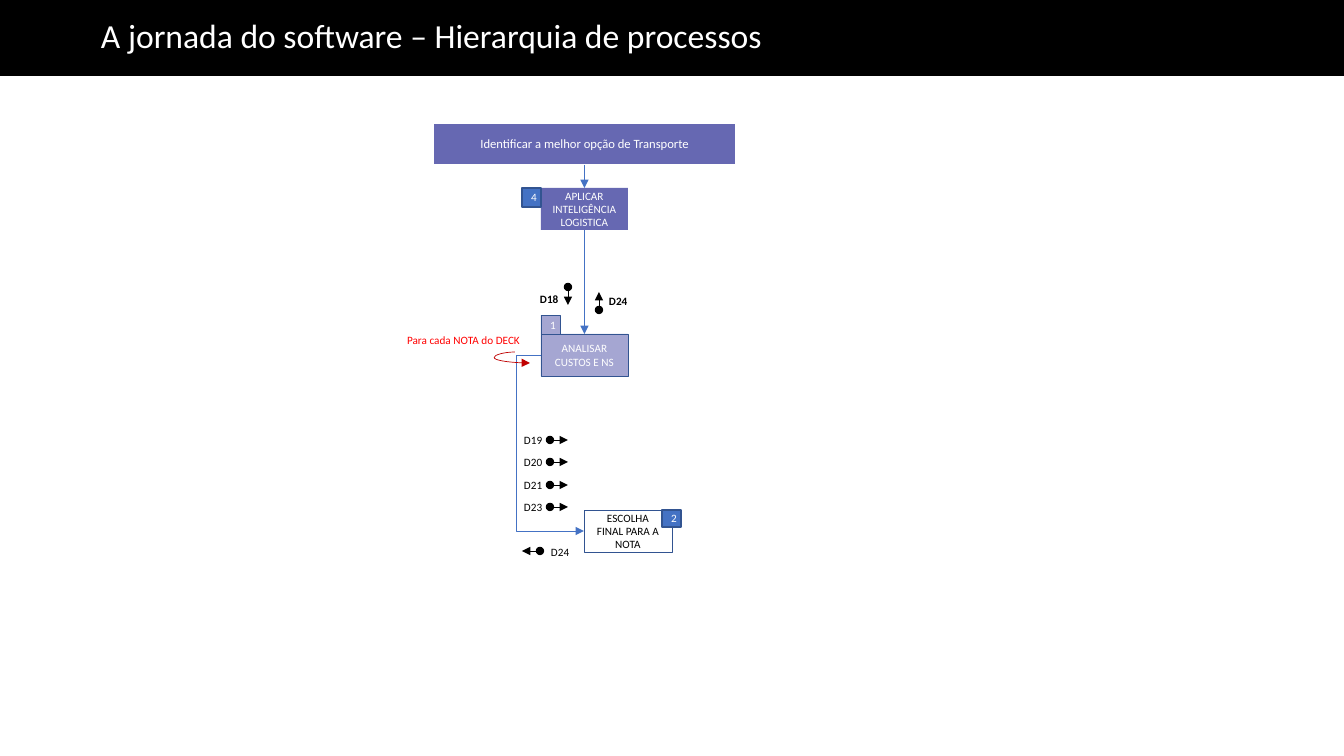
from pptx import Presentation
from pptx.dml.color import RGBColor
from pptx.enum.shapes import MSO_CONNECTOR as Link, MSO_SHAPE as Shape
from pptx.enum.text import MSO_ANCHOR as Anchor, PP_ALIGN as Align
from pptx.oxml.ns import qn
from pptx.util import Pt
from lxml.etree import SubElement

PX = 914400 / 100.8  # EMU in one px

BLACK = RGBColor(0x00, 0x00, 0x00)
WHITE = RGBColor(0xFF, 0xFF, 0xFF)
PURPLE = RGBColor(0x66, 0x68, 0xB2)
LILAC = RGBColor(0xA5, 0xA6, 0xD2)
BLUE = RGBColor(0x44, 0x72, 0xC4)
NAVY = RGBColor(0x32, 0x54, 0x91)
RED = RGBColor(0xFF, 0x00, 0x00)
WINE = RGBColor(0xC0, 0x00, 0x00)

TITLE = "A jornada do software – Hierarquia de processos"
# name: text, (left, top, width, height), fill, (line colour, line width), text colour, size
BOXES = {
    "goal": ("Identificar a melhor opção de Transporte", (433, 123, 303, 42),
             PURPLE, (WHITE, 1), WHITE, 9),
    "apply": ("APLICAR\nINTELIGÊNCIA LOGISTICA", (541, 188, 87, 42),
              PURPLE, None, WHITE, 8),
    "apply no": ("4", (522, 188, 19, 19), BLUE, (NAVY, 1), WHITE, 8),
    "study": ("ANALISAR CUSTOS E NS", (541, 334, 87, 42),
              LILAC, (NAVY, 0.5), WHITE, 8),
    "study no": ("1", (541, 315, 19, 19), LILAC, (NAVY, 0.5), WHITE, 8),
    "choice": ("ESCOLHA FINAL PARA A NOTA", (584, 510, 88, 42),
               WHITE, (NAVY, 0.5), BLACK, 8),
    "choice no": ("2", (662, 510, 19, 17), BLUE, (NAVY, 1), WHITE, 8),
}
TOP, LEFT, BOTTOM = 0, 1, 2  # connection sites of a rectangle
# from box, site, to box, site, kind, bend
FLOWS = [
    ("goal", BOTTOM, "apply", TOP, Link.STRAIGHT, None),
    ("apply", BOTTOM, "study", TOP, Link.STRAIGHT, None),
    ("study", LEFT, "choice", LEFT, Link.ELBOW, -0.58),
]
LOOP = (515, 352, 530, 363)
NOTE = ("Para cada NOTA do DECK", (407, 333, 124, 13))
# label, label left and top, dot centre, direction, bold
DATA = [
    ("D18", (540, 292), (568, 287), (0, 1), True),
    ("D24", (609, 294), (599, 310), (0, -1), True),
    ("D24", (551, 545), (540, 551), (-1, 0), False),
]
ROWS = ["D19", "D20", "D21", "D23"]
DATA += [(name, (524, 433 + 45 * i // 2), (550, 440 + 45 * i // 2), (1, 0), False)
         for i, name in enumerate(ROWS)]
DOT, REACH = 7, 18


def emu(*nums):
    return [round(n * PX) for n in nums]


def write(frame, text, size, color, align=Align.LEFT, bold=False):
    frame.word_wrap = True
    frame.text = text
    look = {"name": "Calibri", "size": Pt(size), "bold": bold}
    for para in frame.paragraphs:
        para.alignment = align
        for run in para.runs:
            for key, value in look.items():
                setattr(run.font, key, value)
            run.font.color.rgb = color


def draw(kind, rect, fill, line):
    shape = slide.shapes.add_shape(kind, *emu(*rect))
    shape.shadow.inherit = False
    shape.fill.solid()
    shape.fill.fore_color.rgb = fill
    if line:
        shape.line.color.rgb, shape.line.width = line[0], Pt(line[1])
    else:
        shape.line.fill.background()
    return shape


def label(text, rect, color=BLACK, bold=False):
    frame = slide.shapes.add_textbox(*emu(*rect)).text_frame
    for side in ("left", "top", "right", "bottom"):
        setattr(frame, "margin_" + side, 0)
    write(frame, text, 8, color, bold=bold)


def arrow(kind, ends, color):
    link = slide.shapes.add_connector(kind, *emu(*ends))
    link.line.color.rgb, link.line.width = color, Pt(0.5)
    SubElement(link.line._get_or_add_ln(), qn("a:tailEnd"), type="triangle")
    SubElement(link._element.spPr, qn("a:effectLst"))
    return link


def bend(link, ratio):
    """Move the middle leg to this share of the connector's width."""
    guides = link._element.spPr.find(qn("a:prstGeom")).get_or_add_avLst()
    SubElement(guides, qn("a:gd"), name="adj1", fmla=f"val {round(ratio * 100000)}")


deck = Presentation()
deck.slide_width, deck.slide_height = emu(1344, 756)
slide = deck.slides.add_slide(deck.slide_layouts[5])

title = slide.shapes.title
title.left, title.top, title.width, title.height = emu(0, 0, 1344, 76)
title.fill.solid()
title.fill.fore_color.rgb = BLACK
write(title.text_frame, TITLE, 24, WHITE)
title.text_frame.vertical_anchor = Anchor.MIDDLE
title.text_frame.margin_left = emu(101)[0]
title.text_frame.paragraphs[0].line_spacing = 0.9

boxes = {}
for name, (text, rect, fill, line, color, size) in BOXES.items():
    box = boxes[name] = draw(Shape.RECTANGLE, rect, fill, line)
    box.text_frame.vertical_anchor = Anchor.MIDDLE
    write(box.text_frame, text, size, color, Align.CENTER)

for start, out, end, into, kind, ratio in FLOWS:
    flow = arrow(kind, (0, 0, 0, 0), BLUE)
    flow.begin_connect(boxes[start], out)
    flow.end_connect(boxes[end], into)
    if ratio:
        bend(flow, ratio)

bend(arrow(Link.CURVE, LOOP, WINE), -1.39)
label(*NOTE, color=RED)

for name, (left, top), (x, y), (dx, dy), bold in DATA:
    arrow(Link.STRAIGHT, (x, y, x + REACH * dx, y + REACH * dy), BLACK)
    draw(Shape.OVAL, (x - DOT / 2, y - DOT / 2, DOT, DOT), BLACK, (BLACK, 1))
    label(name, (left, top, 25, 13), bold=bold)

deck.save("out.pptx")
